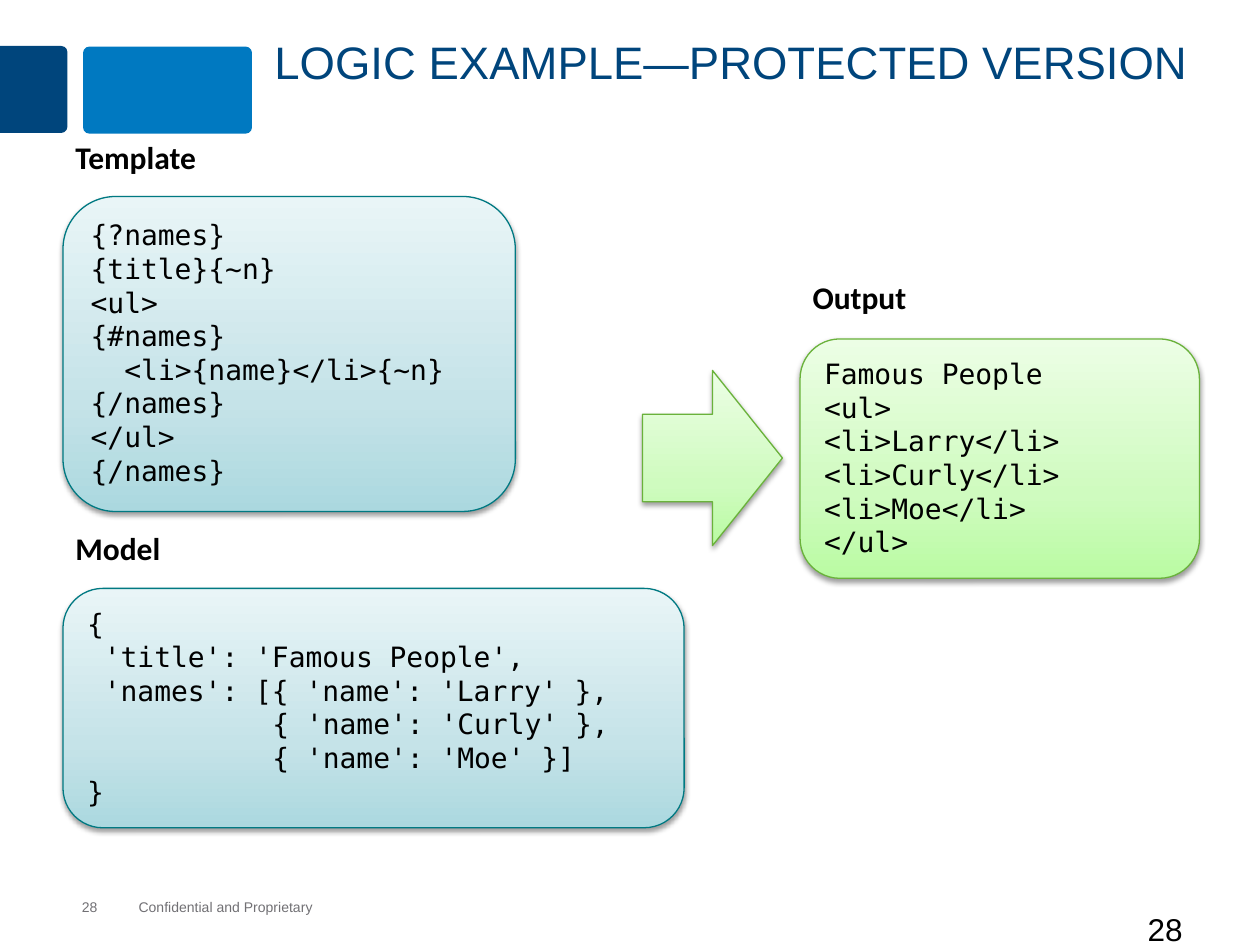
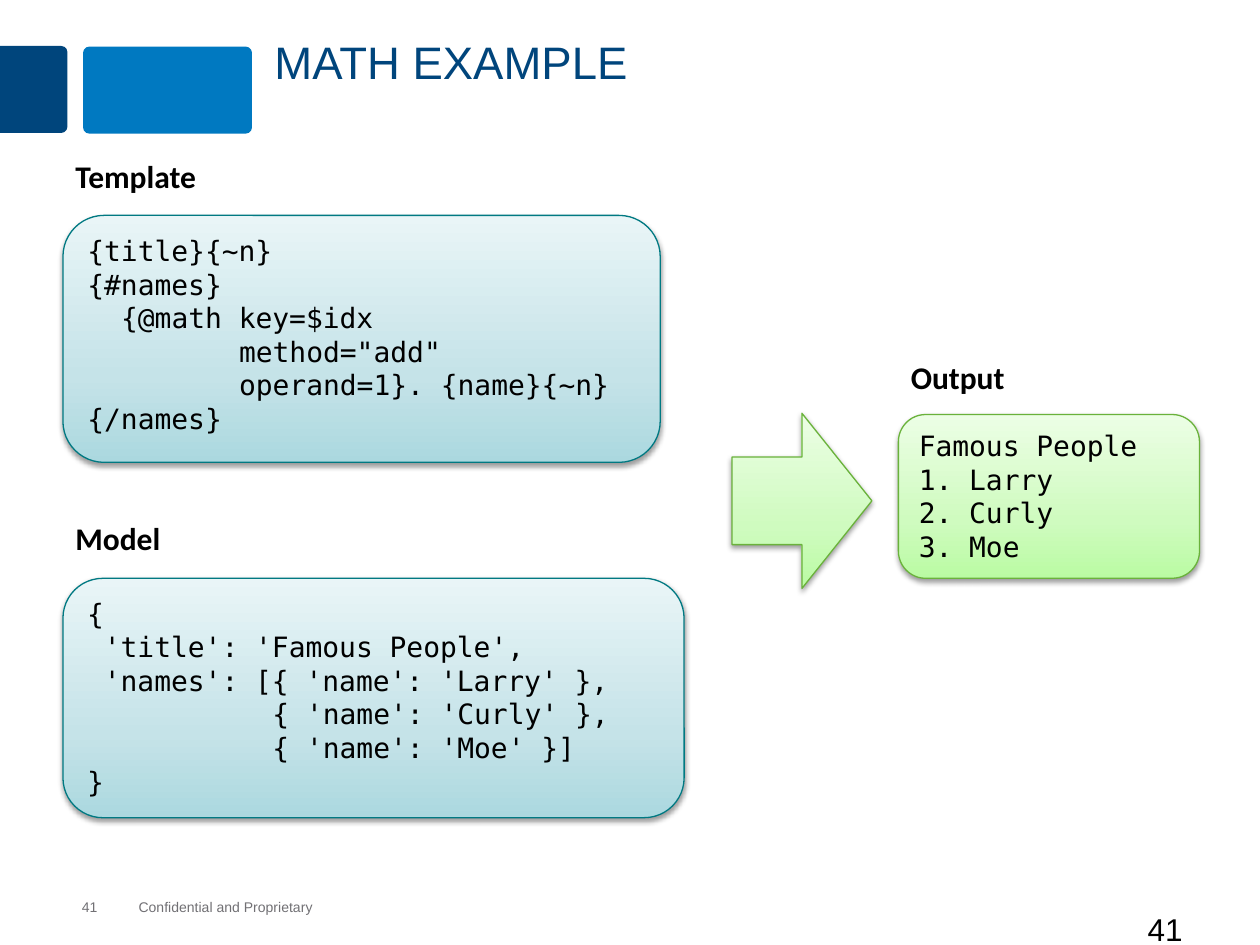
from lxml.etree import SubElement as Sub
from pptx import Presentation
from pptx.dml.color import RGBColor
from pptx.enum.shapes import MSO_SHAPE as Kind
from pptx.enum.text import MSO_ANCHOR as Anchor, PP_ALIGN as Align
from pptx.oxml.ns import qn
from pptx.util import Inches, Pt

NAVY, BLUE = "00457C", "0079C1"
SKINS = {
    "teal": ("007982", ((0, "ABD8DF"), (35, "C5E3E8"), (100, "E9F5F7"))),
    "green": ("6AB23B", ((0, "BAFBA3"), (35, "CFFBBF"), (100, "ECFEE5"))),
}
STYLES = {
    "title": {"name": "Arial", "size": 26, "color": NAVY},
    "foot": {"name": "Arial", "size": 8, "color": "717074"},
    "page": {"name": "Arial", "size": 18, "color": "000000"},
    "label": {"name": "Calibri", "size": 18, "color": "000000", "bold": True},
    "code": {"name": "DejaVu Sans Mono", "size": 16, "color": "000000"},
}
CHAR = 0.602 * STYLES["code"]["size"] / 72
LEFT, LABEL_H = 0.5, 0.5
ARROW_W, ARROW_H = 1.11, 1.39

MODEL = [
    (0, "{"),
    (1, "'title': 'Famous People',"),
    (1, "'names': [{ 'name': 'Larry' },"),
    (11, "{ 'name': 'Curly' },"),
    (11, "{ 'name': 'Moe' }]"),
    (0, "}"),
]
SLIDES = [
    {
        "title": "LOGIC EXAMPLE—PROTECTED VERSION",
        "page": 28,
        "arrow": (5.1, 2.94),
        "panels": [
            ("Template", 1.05, "teal", (LEFT, 1.56, 3.59, 2.5), [
                (0, "{?names}"),
                (0, "{title}{~n}"),
                (0, "<ul>"),
                (0, "{#names}"),
                (2, "<li>{name}</li>{~n}"),
                (0, "{/names}"),
                (0, "</ul>"),
                (0, "{/names}"),
            ]),
            ("Model", 4.15, "teal", (LEFT, 4.67, 4.93, 1.9), MODEL),
            ("Output", 2.16, "green", (6.35, 2.69, 3.17, 1.9), [
                (0, "Famous People"),
                (0, "<ul>"),
                (0, "<li>Larry</li>"),
                (0, "<li>Curly</li>"),
                (0, "<li>Moe</li>"),
                (0, "</ul>"),
            ]),
        ],
    },
    {
        "title": "MATH EXAMPLE",
        "page": 41,
        "arrow": (5.81, 3.28),
        "panels": [
            ("Template", 1.2, "teal", (LEFT, 1.71, 4.74, 1.96), [
                (0, "{title}{~n}"),
                (0, "{#names}"),
                (2, "{@math key=$idx"),
                (9, 'method="add"'),
                (9, "operand=1}. {name}{~n}"),
                (0, "{/names}"),
            ]),
            ("Model", 4.07, "teal", (LEFT, 4.59, 4.93, 1.9), MODEL),
            ("Output", 2.79, "green", (7.13, 3.29, 2.39, 1.3), [
                (0, "Famous People"),
                (0, "1. Larry"),
                (0, "2. Curly"),
                (0, "3. Moe"),
            ]),
        ],
    },
]


def paint(code):
    return RGBColor.from_string(code)


def place(box):
    return [Inches(n) for n in box]


def style(font, look):
    for key, val in STYLES[look].items():
        if key == "color":
            font.color.rgb = paint(val)
        else:
            setattr(font, key, Pt(val) if key == "size" else val)


def write(frame, lines, look):
    for num, (tab, text) in enumerate(lines):
        para = frame.add_paragraph() if num else frame.paragraphs[0]
        para.alignment = Align.LEFT
        if tab:
            para._p.get_or_add_pPr().set("marL", str(Inches(tab * CHAR)))
        run = para.add_run()
        run.text = text
        style(run.font, look)


def label(slide, text, box, look, **opts):
    frame = slide.shapes.add_textbox(*place(box)).text_frame
    for key, val in {"word_wrap": True, **opts}.items():
        setattr(frame, key, val)
    write(frame, [(0, text)], look)
    return frame


def block(slide, kind, box, fill, adj):
    shape = slide.shapes.add_shape(kind, *place(box))
    shape.shadow.inherit = False
    shape.fill.solid()
    shape.fill.fore_color.rgb = paint(fill)
    shape.line.fill.background()
    shape.adjustments[0] = adj
    return shape


def glossy(slide, kind, box, skin):
    edge, stops = SKINS[skin]
    shape = slide.shapes.add_shape(kind, *place(box))
    shape.fill.gradient()
    shape.fill.gradient_angle = 90
    shape.line.color.rgb = paint(edge)
    shape.line.width = Pt(0.75)
    shape.shadow.inherit = False
    props = shape.element.spPr
    ramp = props.find(".//" + qn("a:gsLst"))
    for old in list(ramp):
        ramp.remove(old)
    for pos, code in stops:
        stop = Sub(ramp, qn("a:gs"), pos=str(pos * 1000))
        Sub(stop, qn("a:srgbClr"), val=code)
    shade = Sub(props.find(qn("a:effectLst")), qn("a:outerShdw"),
                blurRad=str(Pt(3.1)), dist=str(Pt(1.6)),
                dir="5400000", rotWithShape="0")
    Sub(Sub(shade, qn("a:srgbClr"), val="000000"), qn("a:alpha"), val="38000")
    return shape


def base(slide, title, page):
    tab = block(slide, Kind.ROUND_2_SAME_RECTANGLE,
                (-0.08, 0.44, 0.69, 0.54), NAVY, 0.09)
    tab.rotation = 90
    block(slide, Kind.ROUNDED_RECTANGLE, (0.66, 0.37, 1.34, 0.69), BLUE, 0.07)
    flat = dict.fromkeys(
        ("margin_left", "margin_right", "margin_top", "margin_bottom"), 0)
    flat["vertical_anchor"] = Anchor.MIDDLE
    label(slide, "Confidential and Proprietary", (1.1, 7.13, 1.4, 0.13),
          "foot", **flat)
    label(slide, str(page), (0.65, 7.13, 0.4, 0.13), "foot", **flat)
    head = label(slide, title, (2.08, 0.25, 7.67, 0.91), "title")
    head.paragraphs[0].line_spacing = 0.95
    label(slide, str(page), (9.01, 7.17, 0.99, 0.5), "page")


def panel(slide, name, top, skin, box, lines):
    shape = glossy(slide, Kind.ROUNDED_RECTANGLE, box, skin)
    frame = shape.text_frame
    frame.word_wrap = True
    frame.vertical_anchor = Anchor.TOP
    write(frame, lines, "code")
    label(slide, name, (box[0], top, 1.65, LABEL_H), "label")


def main():
    deck = Presentation()
    deck.slide_width, deck.slide_height = Inches(10), Inches(7.5)
    for data in SLIDES:
        slide = deck.slides.add_slide(deck.slide_layouts[6])
        base(slide, data["title"], data["page"])
        for part in data["panels"]:
            panel(slide, *part)
        glossy(slide, Kind.RIGHT_ARROW,
               (*data["arrow"], ARROW_W, ARROW_H), "green")
    deck.save("out.pptx")


if __name__ == "__main__":
    main()
